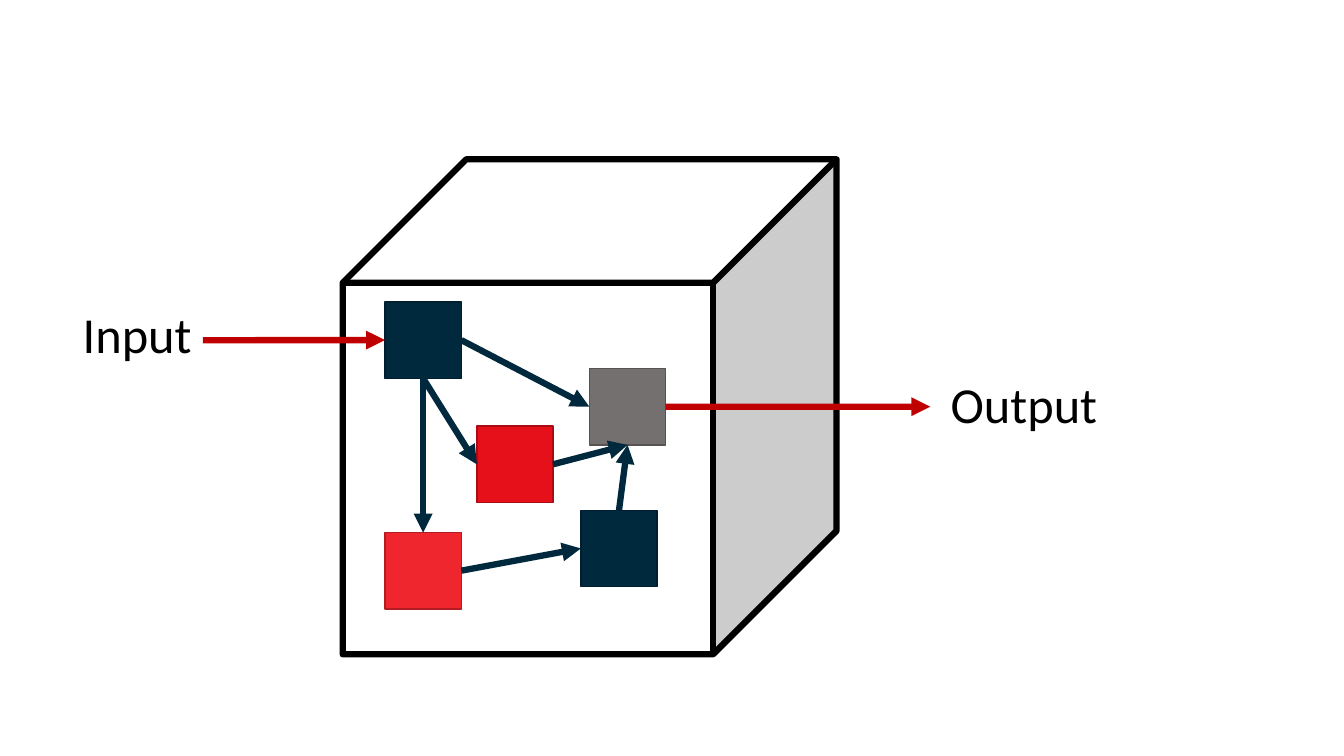
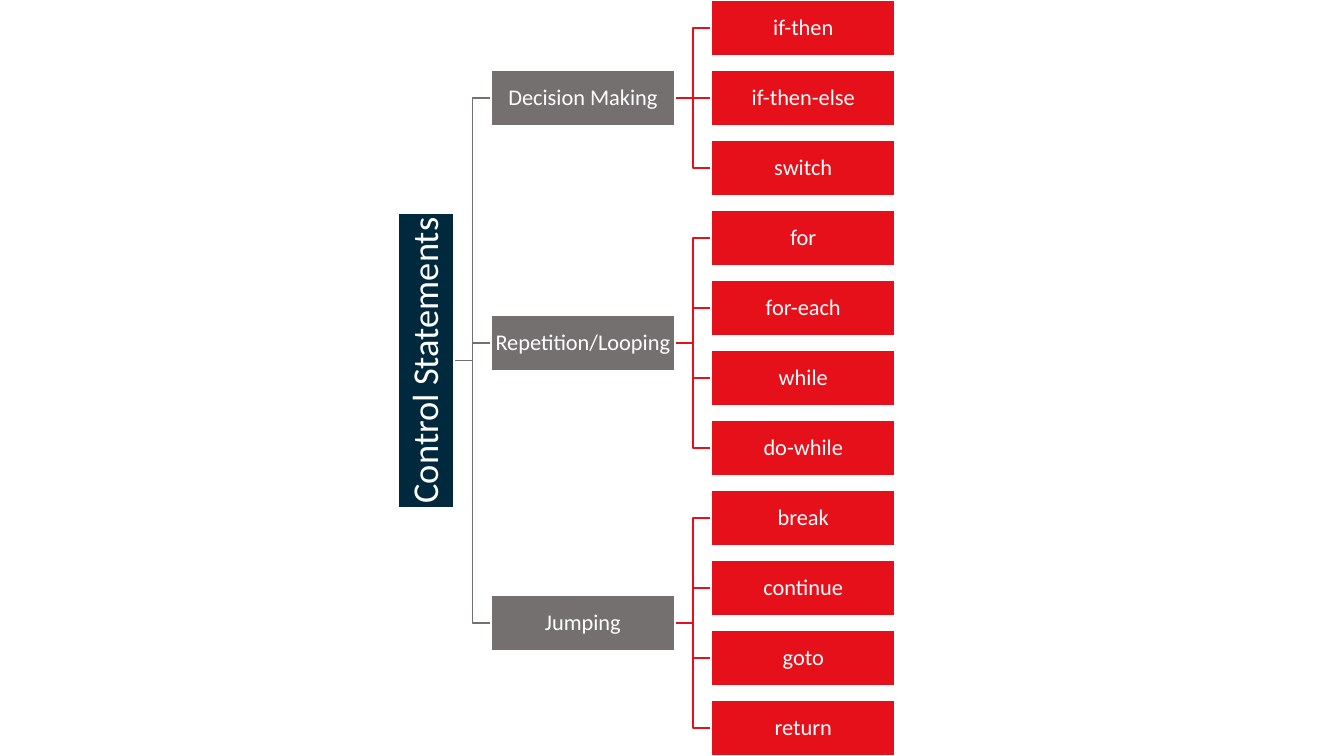
from lxml.etree import SubElement
from pptx import Presentation
from pptx.dml.color import RGBColor
from pptx.enum.shapes import MSO_CONNECTOR as LINE, MSO_SHAPE as SHAPE
from pptx.enum.text import MSO_ANCHOR as ANCHOR, MSO_AUTO_SIZE as FIT, PP_ALIGN as ALIGN
from pptx.oxml.ns import qn
from pptx.util import Pt

FONT = "Calibri"
HEX = {
    "black": "000000", "white": "FFFFFF",
    "navy": "00293E", "navy rim": "001E2E",
    "grey": "757070", "grey rim": "575353",
    "red": "E6101A", "red rim": "AA0C13",
    "rose": "F0262F", "rose rim": "B21C23",
    "flow": "C00000",
}

# Connection sites of a rectangle
TOP, LEFT, BOTTOM, RIGHT = range(4)

# Tree measures
NODE_W, NODE_H, GAP, PITCH = 131.2, 40, 26.2, 50
ROOT_X, ROOT_W = 284.6, 210.2

TREE = {
    "Decision Making": ["if-then", "if-then-else", "switch"],
    "Repetition/Looping": ["for", "for-each", "while", "do-while"],
    "Jumping": ["break", "continue", "goto", "return"],
}


def color(name):
    return RGBColor.from_string(HEX[name])


def stroke(item, name, width):
    item.line.color.rgb = color(name)
    item.line.width = Pt(width)


def block(slide, kind, x, y, w, h, fill, rim, width):
    shape = slide.shapes.add_shape(kind, Pt(x), Pt(y), Pt(w), Pt(h))
    shape.shadow.inherit = False
    shape.fill.solid()
    shape.fill.fore_color.rgb = color(fill)
    stroke(shape, rim, width)
    return shape


def write(frame, text, size, name):
    par = frame.paragraphs[0]
    run = par.add_run()
    run.text = text
    run.font.name = FONT
    run.font.size = Pt(size)
    run.font.color.rgb = color(name)
    return par


def label(slide, text, x, y, w):
    box = slide.shapes.add_textbox(Pt(x), Pt(y), Pt(w), Pt(51))
    frame = box.text_frame
    frame.word_wrap = True
    frame.auto_size = FIT.SHAPE_TO_FIT_TEXT
    write(frame, text, 36, "black")


def line(slide, x1, y1, x2, y2, name, width):
    link = slide.shapes.add_connector(LINE.STRAIGHT, Pt(x1), Pt(y1), Pt(x2), Pt(y2))
    stroke(link, name, width)
    SubElement(link._element.spPr, qn("a:effectLst"))
    return link


def arrow(slide, name, x1=0, y1=0, x2=0, y2=0, start=None, end=None):
    """Run between points, or glue an end to a (shape, site) pair."""
    link = line(slide, x1, y1, x2, y2, name, 4.5)
    if start:
        link.begin_connect(*start)
    if end:
        link.end_connect(*end)
    SubElement(link.line._get_or_add_ln(), qn("a:tailEnd"), type="triangle")


def node(slide, text, x, mid, fill, w=NODE_W, size=16, turn=0):
    shape = block(slide, SHAPE.RECTANGLE, x, mid - NODE_H / 2, w, NODE_H, fill, "white", 1.5)
    shape.rotation = turn
    frame = shape.text_frame
    frame.word_wrap = True
    frame.vertical_anchor = ANCHOR.MIDDLE
    frame.margin_left = frame.margin_right = Pt(1)
    frame.margin_top = frame.margin_bottom = Pt(1)
    par = write(frame, text, size, "white")
    par.alignment = ALIGN.CENTER
    par.line_spacing = 0.9


def elbow(slide, x, y1, y2, name):
    """Bridge the gap between two tree levels."""
    if y1 == y2:
        line(slide, x, y1, x + GAP, y2, name, 1)
        return
    bend = x + GAP / 2
    path = slide.shapes.build_freeform(Pt(x), Pt(y1))
    turns = [(bend, y1), (bend, y2), (x + GAP, y2)]
    path.add_line_segments([(Pt(a), Pt(b)) for a, b in turns], close=False)
    shape = path.convert_to_shape()
    shape.shadow.inherit = False
    shape.fill.background()
    stroke(shape, name, 1)


def box_slide(slide):
    block(slide, SHAPE.CUBE, 244.8, 113.8, 352.8, 353.5, "white", "black", 4.5)

    # Parts inside the box
    parts = [(275, 215.7, "navy"), (421, 263.3, "grey"), (340.6, 304.4, "red"),
             (275, 380.4, "rose"), (414.9, 364.5, "navy")]
    entry, leave, core, low, side = [
        block(slide, SHAPE.RECTANGLE, x, y, 54.5, 54.5, fill, fill + " rim", 1)
        for x, y, fill in parts]

    # Links between parts
    links = [(entry, RIGHT, leave, LEFT), (entry, BOTTOM, core, LEFT),
             (low, RIGHT, side, LEFT), (entry, BOTTOM, low, TOP),
             (side, TOP, leave, BOTTOM), (core, RIGHT, leave, BOTTOM)]
    for a, out, b, into in links:
        arrow(slide, "navy", start=(a, out), end=(b, into))

    # Flow in and out
    arrow(slide, "flow", x1=145, y1=243, end=(entry, LEFT))
    arrow(slide, "flow", x2=664.5, y2=290.5, start=(leave, RIGHT))
    label(slide, "Input", 52, 213, 111)
    label(slide, "Output", 672, 263.3, 183)


def tree_slide(slide):
    stem_x = ROOT_X + NODE_H + GAP
    leaf_x = stem_x + NODE_W + GAP

    # Each stem sits midway along its leaves
    stems, row = [], 0
    for name, leaves in TREE.items():
        mids = [NODE_H / 2 + PITCH * (row + i) for i in range(len(leaves))]
        stems.append((name, (mids[0] + mids[-1]) / 2, list(zip(leaves, mids))))
        row += len(leaves)
    root = (stems[0][1] + stems[-1][1]) / 2

    # Links behind the nodes
    for _, mid, leaves in stems:
        elbow(slide, ROOT_X + NODE_H, root, mid, "grey")
        for _, y in leaves:
            elbow(slide, stem_x + NODE_W, mid, y, "red")

    # Nodes
    node(slide, "Control Statements", ROOT_X + (NODE_H - ROOT_W) / 2, root,
         "navy", w=ROOT_W, size=26, turn=270)
    for name, mid, leaves in stems:
        node(slide, name, stem_x, mid, "grey")
        for text, y in leaves:
            node(slide, text, leaf_x, y, "red")


def main():
    deck = Presentation()
    deck.slide_width, deck.slide_height = Pt(960), Pt(540)
    for draw in (box_slide, tree_slide):
        draw(deck.slides.add_slide(deck.slide_layouts[6]))
    deck.save("out.pptx")


main()
